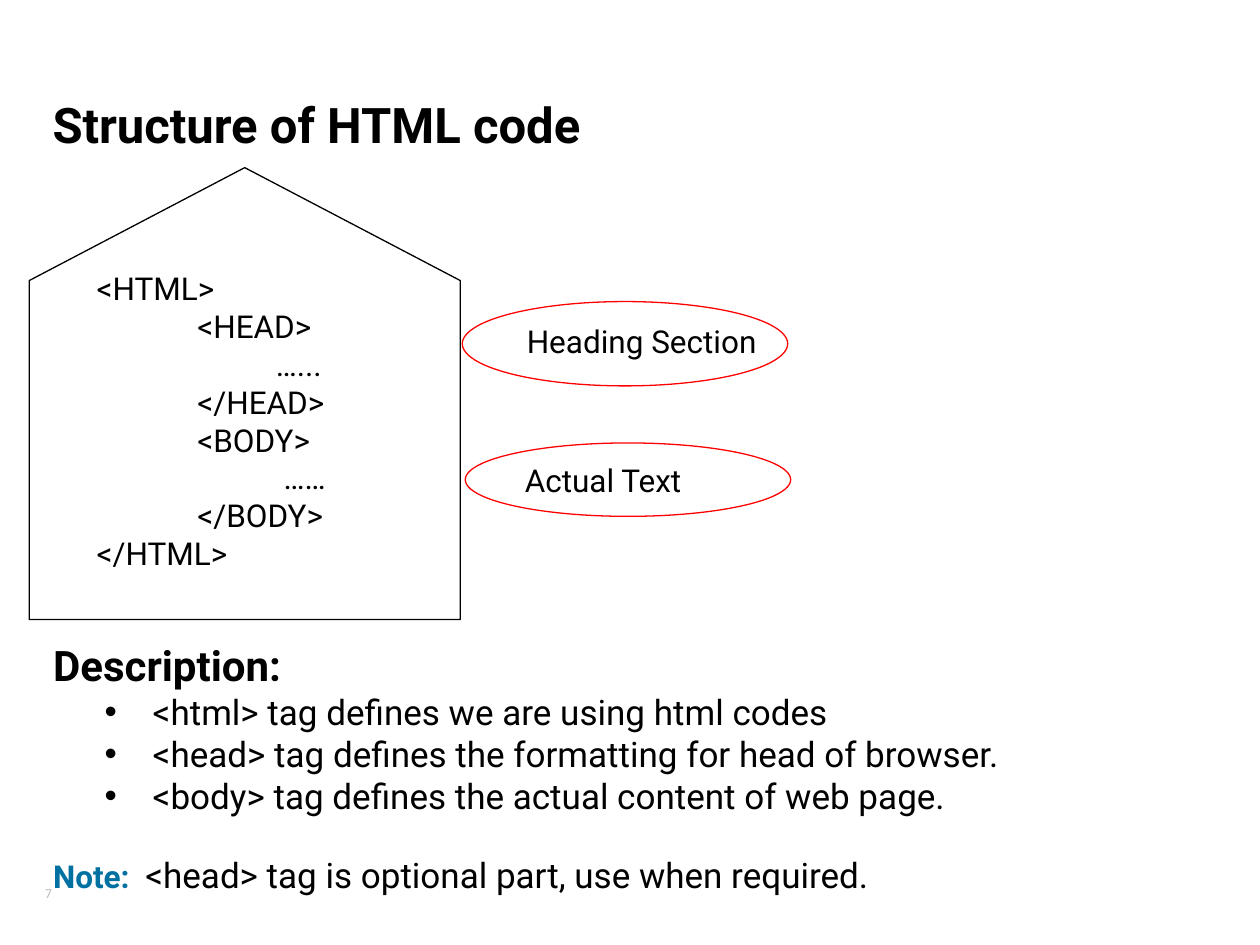
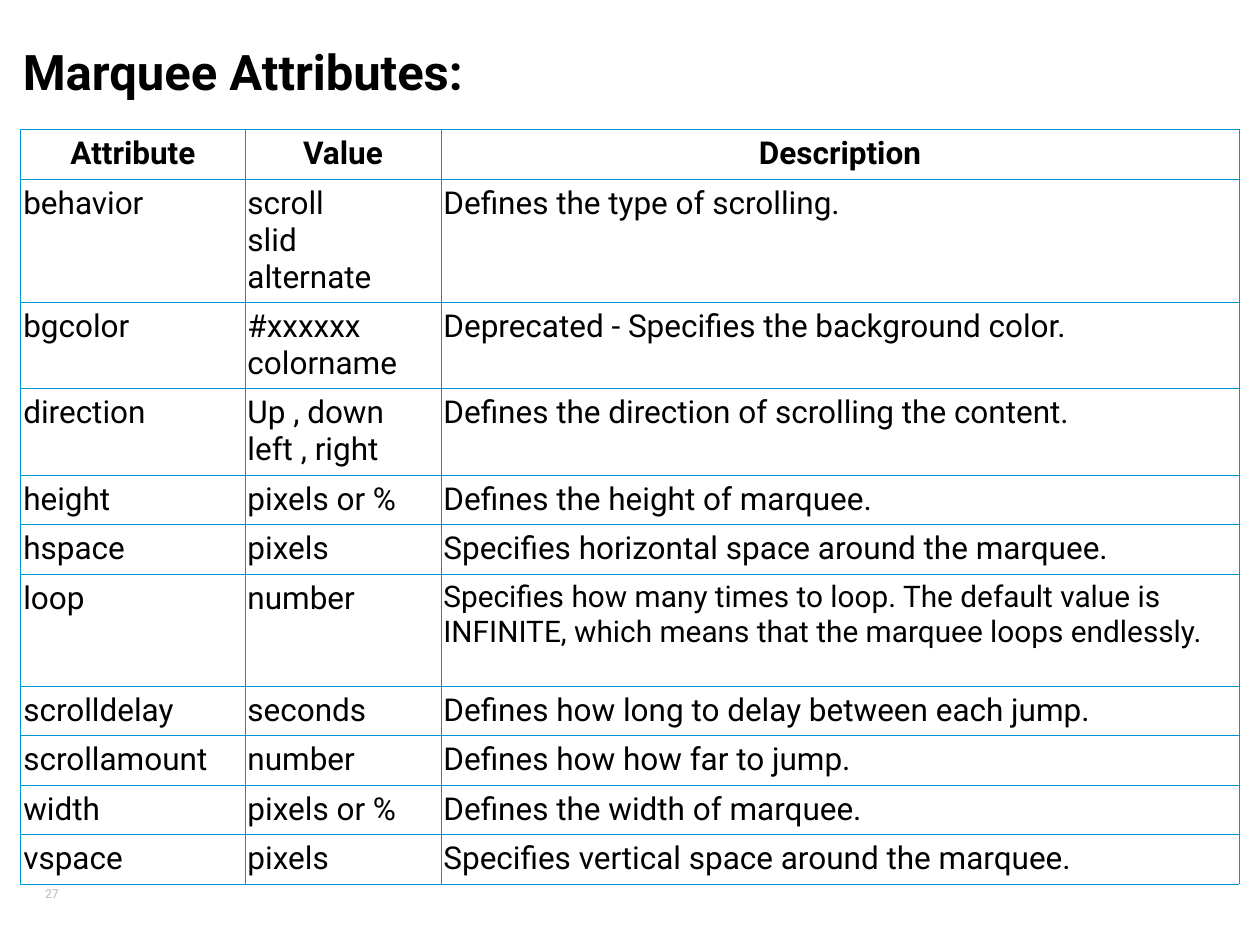
from lxml.etree import SubElement
from pptx import Presentation
from pptx.dml.color import RGBColor
from pptx.enum.shapes import MSO_SHAPE
from pptx.enum.text import MSO_ANCHOR, PP_ALIGN
from pptx.oxml.ns import qn
from pptx.util import Cm, Pt

FONT = "Roboto"
BLACK, WHITE, RED = "000000", "FFFFFF", "FF0000"
NOTE_BLUE, BORDER_BLUE, NUMBER_GREY = "0071A0", "0096D6", "B9B8BB"
INSETS = (0.25, 0.13, 0.25, 0.13)

CODE_LINES = [
    ("<HTML>", 0), ("<HEAD>", 2.03), ("…...", 3.61), ("</HEAD>", 2.03),
    ("<BODY>", 2.03), ("……", 3.77), ("</BODY>", 2.03), ("</HTML>", 0),
]
TAG_MEANINGS = [
    "<html> tag defines we are using html codes",
    "<head> tag defines the formatting for head of browser.",
    "<body> tag defines the actual content of web page.",
]
COLUMN_WIDTHS = (4.52, 3.95, 16.09)
ATTRIBUTES = [
    ("Attribute", "Value", "Description"),
    ("behavior", "scroll\vslid\valternate", "Defines the type of scrolling."),
    ("bgcolor", "#xxxxxx\vcolorname", "Deprecated - Specifies the background color."),
    ("direction", "Up , down\vleft , right", "Defines the direction of scrolling the content."),
    ("height", "pixels or %", "Defines the height of marquee."),
    ("hspace", "pixels", "Specifies horizontal space around the marquee."),
    ("loop", "number", "Specifies how many times to loop. The default value is INFINITE, "
     "which means that the marquee loops endlessly."),
    ("scrolldelay", "seconds", "Defines how long to delay between each jump."),
    ("scrollamount", "number", "Defines how how far to jump."),
    ("width", "pixels or %", "Defines the width of marquee."),
    ("vspace", "pixels", "Specifies vertical space around the marquee."),
]
ROW_HEIGHTS = {"behavior": 2.4, "bgcolor": 1.63, "direction": 1.63, "loop": 2.26}
PLAIN_ROW = 0.86
CELL_LINE_PITCH = 1.17


def color(code):
    """Turn a hex string into a colour."""
    return RGBColor.from_string(code)


def style(target, size, code=BLACK, bold=False):
    """Set the font of a paragraph or a span."""
    font = target.font
    font.name, font.size, font.bold = FONT, Pt(size), bold
    font.color.rgb = color(code)


def add_text_box(page, left, top, width, height, insets=INSETS, wrap=True):
    """Add an empty text box and return its text frame."""
    frame = page.shapes.add_textbox(Cm(left), Cm(top), Cm(width), Cm(height)).text_frame
    frame.word_wrap = wrap
    frame.margin_left, frame.margin_top, frame.margin_right, frame.margin_bottom = map(Cm, insets)
    return frame


def add_line(frame, text, size, indent=0, hanging=0, align=PP_ALIGN.LEFT, bold=False):
    """Add one paragraph, with a bullet if it has a hanging indent."""
    first = frame.paragraphs[0]
    para = frame.add_paragraph() if first.runs else first
    para.text = text
    para.alignment = align
    properties = para._p.get_or_add_pPr()
    properties.set("marL", str(Cm(indent)))
    properties.set("indent", str(-Cm(hanging)))
    if hanging:
        para.level = 1
        bullet_color = SubElement(properties, qn("a:buClr"))
        SubElement(bullet_color, qn("a:srgbClr"), val=BLACK)
        SubElement(properties, qn("a:buFont"), typeface="Arial")
        SubElement(properties, qn("a:buChar"), char="•")
    style(para, size, bold=bold)
    return para


def add_title(page, text, left, top, width):
    """Add the slide title."""
    frame = add_text_box(page, left, top, width, 1.45)
    add_line(frame, text, 28, bold=True)


def add_page_number(page, number):
    """Add the small number at the lower left."""
    frame = add_text_box(page, 0.91, 17.73, 0.89, 0.56, (0, 0.13, 0.25, 0.13), wrap=False)
    frame.vertical_anchor = MSO_ANCHOR.MIDDLE
    style(add_line(frame, number, 7), 7, NUMBER_GREY)


def add_code_house(page, left, top, width, height):
    """Draw the house outline with the HTML skeleton inside."""
    eaves = top + height / 4
    right, bottom = left + width, top + height
    builder = page.shapes.build_freeform(Cm(left), Cm(bottom), scale=1.0)
    corners = [(left, eaves), (left + width / 2, top), (right, eaves), (right, bottom)]
    builder.add_line_segments([(Cm(x), Cm(y)) for x, y in corners], close=True)
    house = builder.convert_to_shape()
    house.shadow.inherit = False
    house.fill.solid()
    house.fill.fore_color.rgb = color(WHITE)
    house.line.color.rgb = color(BLACK)
    house.line.width = Pt(0.75)
    frame = add_text_box(page, left + 1.11, top + 1.92, 6.99, 6.35)
    for text, indent in CODE_LINES:
        add_line(frame, text, 18, indent, align=PP_ALIGN.JUSTIFY)


def add_callout(page, text, left, top, height, text_left, text_top):
    """Draw a red ellipse with its label placed relative to it."""
    frame = add_text_box(page, left + text_left, top + text_top, 6.15, 1.02)
    add_line(frame, text, 18)
    ellipse = page.shapes.add_shape(MSO_SHAPE.OVAL, Cm(left), Cm(top), Cm(6.56), Cm(height))
    ellipse.shadow.inherit = False
    ellipse.fill.background()
    ellipse.line.color.rgb = color(RED)
    ellipse.line.width = Pt(0.75)


def add_description(page, left, top, width, height):
    """Add the tag descriptions and the closing note."""
    frame = add_text_box(page, left, top, width, height, (0.48, 0.13, 0.25, 0.13))
    add_line(frame, "Description:", 24, align=PP_ALIGN.JUSTIFY, bold=True)
    for meaning in TAG_MEANINGS:
        add_line(frame, meaning, 20, 2.01, 0.97, PP_ALIGN.JUSTIFY)
    note = frame.add_paragraph()
    note.alignment = PP_ALIGN.JUSTIFY
    note.space_before = Pt(21)
    tabs = SubElement(note._p.get_or_add_pPr(), qn("a:tabLst"))
    SubElement(tabs, qn("a:tab"), pos=str(Cm(1.86)), algn="l")
    for text, size, code, bold in [
        ("Note:", 18, NOTE_BLUE, True),
        ("\t<head> tag is optional part, use when required.", 20, BLACK, False),
    ]:
        span = note.add_run()
        span.text = text
        style(span, size, code, bold)


def add_borders(cell):
    """Draw thin blue lines on the four sides of a cell."""
    properties = cell._tc.get_or_add_tcPr()
    for index, side in enumerate(("a:lnL", "a:lnR", "a:lnT", "a:lnB")):
        line = SubElement(properties, qn(side), w=str(Pt(0.45)))
        fill = SubElement(line, qn("a:solidFill"))
        SubElement(fill, qn("a:srgbClr"), val=BORDER_BLUE)
        properties.insert(index, line)


def add_attribute_table(page, left, top):
    """Add the table of marquee attributes."""
    heights = [ROW_HEIGHTS.get(row[0], PLAIN_ROW) for row in ATTRIBUTES]
    table = page.shapes.add_table(
        len(ATTRIBUTES), len(COLUMN_WIDTHS), Cm(left), Cm(top),
        Cm(sum(COLUMN_WIDTHS)), Cm(sum(heights))).table
    table.first_row = table.horz_banding = False
    for column, width in zip(table.columns, COLUMN_WIDTHS):
        column.width = Cm(width)
    for row_index, (row, height) in enumerate(zip(ATTRIBUTES, heights)):
        table.rows[row_index].height = Cm(height)
        header = row_index == 0
        for column_index, text in enumerate(row):
            cell = table.cell(row_index, column_index)
            cell.fill.background()
            cell.margin_left = cell.margin_right = Cm(0.05)
            cell.margin_top = cell.margin_bottom = Pt(3.6)
            size = 17 if row[0] == "loop" and column_index == 2 else 18
            align = PP_ALIGN.CENTER if header else PP_ALIGN.LEFT
            para = add_line(cell.text_frame, text, size, align=align, bold=header)
            para.line_spacing = Pt(size * CELL_LINE_PITCH)
            add_borders(cell)


def build_structure_slide(page):
    """Build the slide on the structure of HTML code."""
    add_page_number(page, "7")
    add_title(page, "Structure of HTML code", 0.81, 1.78, 17.35)
    add_code_house(page, 0.59, 3.38, 8.69, 9.11)
    add_callout(page, "Heading Section", 9.32, 6.08, 1.7, 1.05, 0.29)
    add_callout(page, "Actual Text", 9.38, 8.93, 1.48, 0.95, 0.23)
    add_description(page, 0.59, 12.77, 24.38, 5.44)


def build_marquee_slide(page):
    """Build the slide on marquee attributes."""
    add_page_number(page, "27")
    add_attribute_table(page, 0.42, 2.61)
    add_title(page, "Marquee Attributes:", 0.21, 0.71, 16.08)


def main():
    """Build and save the deck."""
    deck = Presentation()
    deck.slide_width, deck.slide_height = Cm(25.4), Cm(19.05)
    for build in (build_structure_slide, build_marquee_slide):
        build(deck.slides.add_slide(deck.slide_layouts[6]))
    deck.save("out.pptx")


if __name__ == "__main__":
    main()
